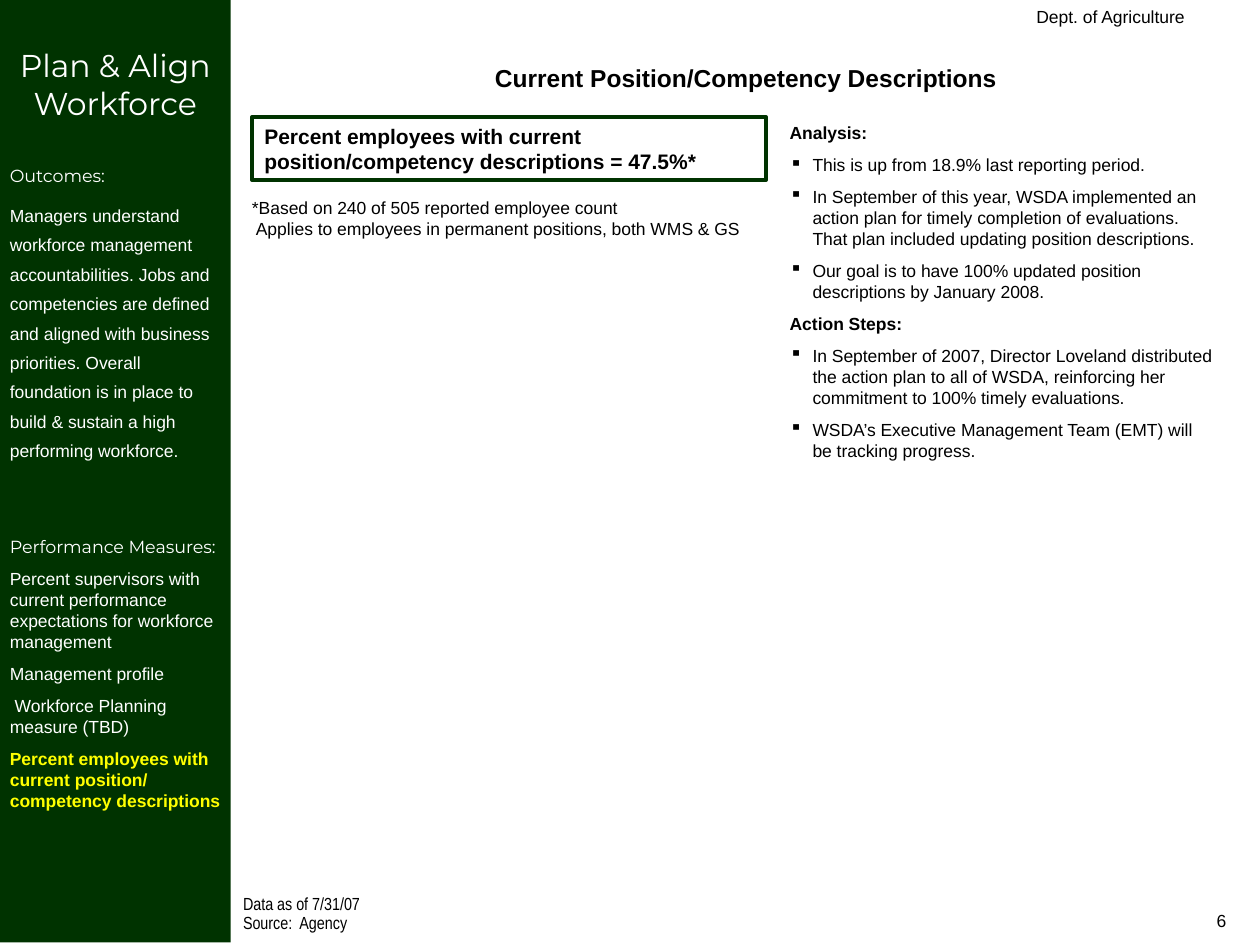
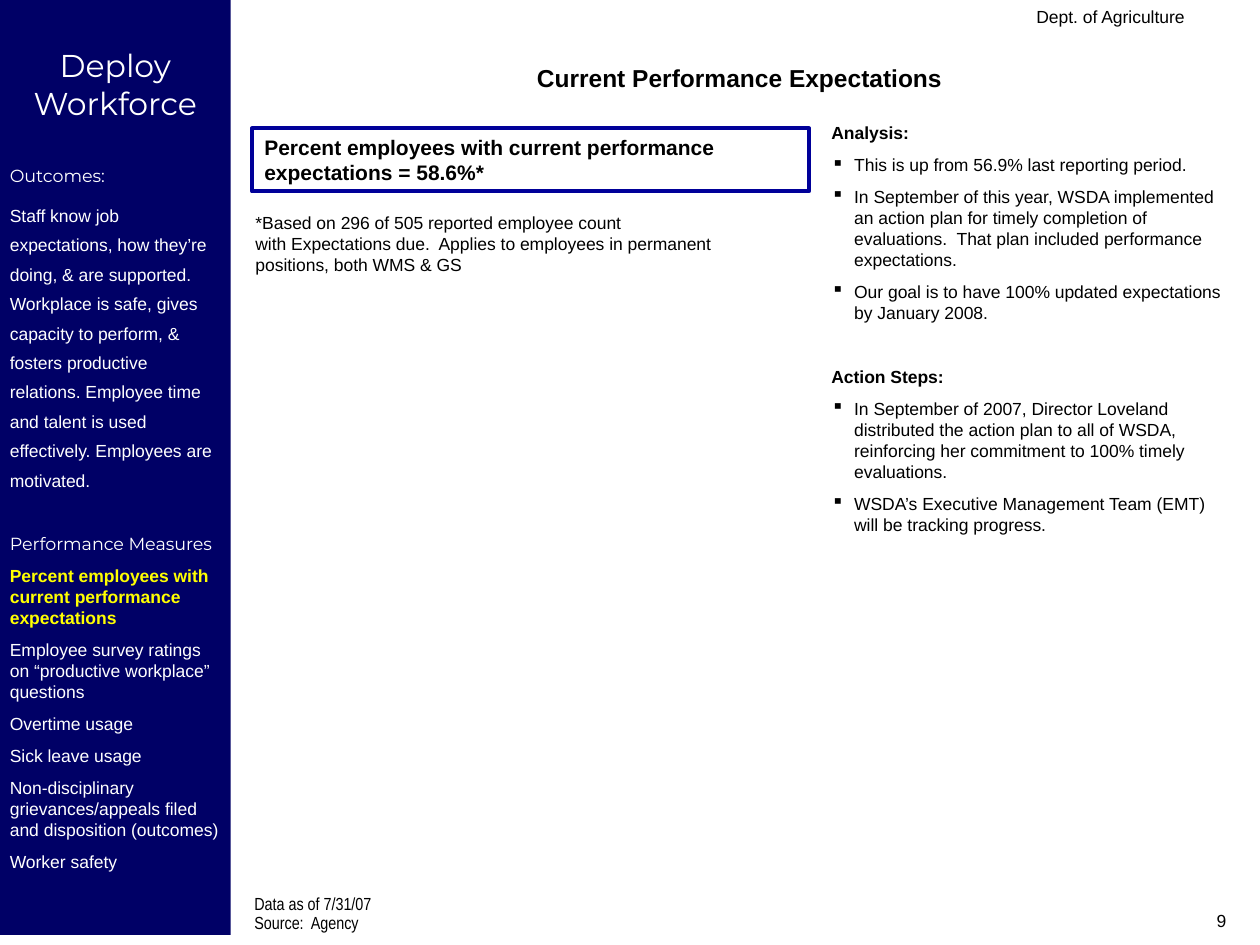
import pptx
import pptx.dml.color
import pptx.enum.shapes
import pptx.enum.text
import pptx.oxml.ns
import pptx.util
import lxml.etree

Cm = pptx.util.Cm
Pt = pptx.util.Pt
Align = pptx.enum.text.PP_ALIGN
Anchor = pptx.enum.text.MSO_ANCHOR

BLACK = "000000"
WHITE = "FFFFFF"
YELLOW = "FFFF00"
BODY_FONT = "Arial"
HEADING_FONT = "Montserrat"
FOOTER_FONT = "Arial Narrow"
GAP = 6.2
WIDE_GAP = 24.5
HANGING = Cm(0.46)

ACTION_STEPS = [
    "In September of 2007, Director Loveland distributed the action plan to all of WSDA, "
    "reinforcing her commitment to 100% timely evaluations.",
    "WSDA’s Executive Management Team (EMT) will be tracking progress.",
]


def color(hex_text):
    return pptx.dml.color.RGBColor.from_string(hex_text)


def add_bullet(para):
    properties = para._p.get_or_add_pPr()
    properties.set("marL", str(HANGING))
    properties.set("indent", str(-HANGING))
    bullet = lxml.etree.SubElement(properties, pptx.oxml.ns.qn("a:buChar"))
    bullet.set("char", "▪")


def write(frame, text, size=10, font=BODY_FONT, ink=BLACK, bold=False,
          align=Align.LEFT, before=0, spacing=None, bullet=False):
    first = not frame.paragraphs[0].runs
    para = frame.paragraphs[0] if first else frame.add_paragraph()
    if bullet:
        add_bullet(para)
    para.alignment = align
    para.space_before = Pt(0 if first else before)
    if spacing:
        para.line_spacing = spacing
    span = para.add_run()
    span.text = text
    span.font.size = Pt(size)
    span.font.name = font
    span.font.bold = bold
    span.font.color.rgb = color(ink)


def set_insets(frame, side, top, bottom):
    frame.word_wrap = True
    frame.margin_left = frame.margin_right = Cm(side)
    frame.margin_top = Cm(top)
    frame.margin_bottom = Cm(bottom)


def add_text(page, left, top, width, height):
    box = page.shapes.add_textbox(Cm(left), Cm(top), Cm(width), Cm(height))
    set_insets(box.text_frame, 0.25, 0.13, 0.13)
    return box.text_frame


def add_rectangle(page, left, top, width, height):
    box = page.shapes.add_shape(
        pptx.enum.shapes.MSO_SHAPE.RECTANGLE, Cm(left), Cm(top), Cm(width), Cm(height))
    box.shadow.inherit = False
    return box


def add_sidebar(page, fill, height, heading, outcomes, measures_heading,
                measures_gap, measures, current):
    box = add_rectangle(page, 0, 0, 4.65, height)
    box.fill.solid()
    box.fill.fore_color.rgb = color(fill)
    box.line.fill.background()
    frame = box.text_frame
    set_insets(frame, 0.2, 0.93, 0.1)
    frame.vertical_anchor = Anchor.TOP
    write(frame, heading, size=18, font=HEADING_FONT, ink=WHITE, align=Align.CENTER)
    write(frame, "Outcomes:", font=HEADING_FONT, ink=WHITE, before=WIDE_GAP)
    write(frame, outcomes, ink=WHITE, before=GAP, spacing=1.4)
    write(frame, measures_heading, font=HEADING_FONT, ink=WHITE, before=measures_gap)
    for measure in measures:
        active = measure == current
        write(frame, measure, ink=YELLOW if active else WHITE, bold=active, before=GAP)


def add_callout(page, top, width, outline, text):
    box = add_rectangle(page, 5.08, top, width, 1.27)
    box.fill.background()
    box.line.color.rgb = color(outline)
    box.line.width = Pt(2.25)
    set_insets(box.text_frame, 0.25, 0.13, 0.13)
    box.text_frame.vertical_anchor = Anchor.MIDDLE
    write(box.text_frame, text, size=12, bold=True)


def add_analysis(page, left, width, height, findings, steps_gap):
    frame = add_text(page, left, 2.34, width, height)
    sections = [("Analysis:", findings, 0), ("Action Steps:", ACTION_STEPS, steps_gap)]
    for heading, items, gap in sections:
        write(frame, heading, bold=True, before=gap)
        for item in items:
            write(frame, item, before=GAP, bullet=True)


def add_note(page, left, top, height, lines):
    frame = add_text(page, left, top, 10.54, height)
    for line in lines:
        write(frame, line)


def add_title(page, left, width, text):
    frame = add_text(page, left, 1.14, width, 0.86)
    write(frame, text, size=14, bold=True, align=Align.CENTER)


def add_frame_texts(page, source_left, number):
    source = add_text(page, source_left, 17.98, 12.27, 0.94)
    for line in ("Data as of 7/31/07", "Source:  Agency"):
        write(source, line, font=FOOTER_FONT, before=2.5, spacing=0.7)
    write(add_text(page, 11.43, 0, 12.7, 0.64), "Dept. of Agriculture", align=Align.RIGHT)
    write(add_text(page, 19.05, 18.21, 5.92, 0.84), number, align=Align.RIGHT)


def build_plan_page(page):
    add_analysis(page, 15.67, 9.09, 7.75, [
        "This is up from 18.9% last reporting period.",
        "In September of this year, WSDA implemented an action plan for timely completion "
        "of evaluations.  That plan included updating position descriptions.",
        "Our goal is to have 100% updated position descriptions by January 2008.",
    ], GAP)
    current = "Percent employees with current position/ competency descriptions"
    add_sidebar(
        page, "003300", 19, "Plan & Align Workforce",
        "Managers understand workforce management accountabilities. Jobs and competencies "
        "are defined and aligned with business priorities. Overall foundation is in place "
        "to build & sustain a high performing workforce.",
        "Performance Measures:", 43,
        ["Percent supervisors with current performance expectations for workforce management",
         "Management profile",
         " Workforce Planning measure (TBD)",
         current], current)
    add_callout(page, 2.36, 10.36, "003300",
                "Percent employees with current position/competency descriptions = 47.5%*")
    add_title(page, 4.88, 20.32, "Current Position/Competency Descriptions")
    add_note(page, 4.83, 3.84, 1.12, [
        "*Based on 240 of 505 reported employee count",
        " Applies to employees in permanent positions, both WMS & GS"])
    add_frame_texts(page, 4.65, "6")


def build_deploy_page(page):
    current = "Percent employees with current performance expectations"
    add_sidebar(
        page, "000066", 18.85, "Deploy Workforce",
        "Staff know job expectations, how they’re doing, & are supported. Workplace is safe, "
        "gives capacity to perform, & fosters productive relations. Employee time and talent "
        "is used effectively. Employees are motivated.",
        "Performance Measures", WIDE_GAP,
        [current,
         "Employee survey ratings on “productive workplace” questions",
         "Overtime usage",
         "Sick leave usage",
         "Non-disciplinary grievances/appeals filed and disposition (outcomes)",
         "Worker safety"], current)
    add_analysis(page, 16.51, 8.46, 9.22, [
        "This is up from 56.9% last reporting period.",
        "In September of this year, WSDA implemented an action plan for timely completion "
        "of evaluations.  That plan included performance expectations.",
        "Our goal is to have 100% updated expectations by January 2008.",
    ], WIDE_GAP)
    add_callout(page, 2.59, 11.23, "000099",
                "Percent employees with current performance expectations = 58.6%*")
    add_title(page, 4.65, 20.52, "Current Performance Expectations")
    add_note(page, 4.9, 4.14, 1.52, [
        "*Based on 296 of 505 reported employee count",
        "with Expectations due.  Applies to employees in permanent positions, both WMS & GS"])
    add_frame_texts(page, 4.88, "9")


def main():
    deck = pptx.Presentation()
    deck.slide_width = Cm(25.4)
    deck.slide_height = Cm(19.05)
    blank = deck.slide_layouts[6]
    for build in (build_plan_page, build_deploy_page):
        build(deck.slides.add_slide(blank))
    deck.save("out.pptx")


if __name__ == "__main__":
    main()
